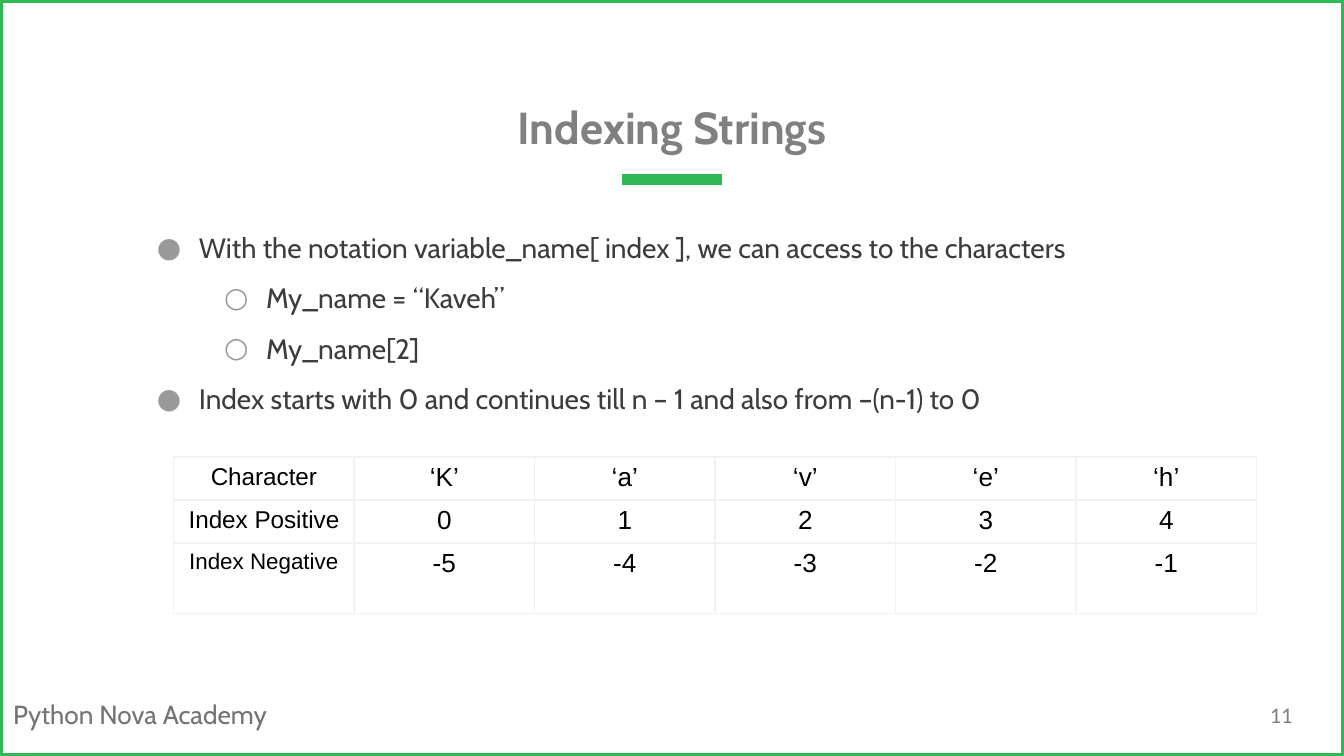
from lxml import etree
from pptx import Presentation
from pptx import util as u
from pptx.dml import color
from pptx.enum import shapes, text
from pptx.oxml import ns

Pt = u.Pt
COLORS = {"green": "30B854", "title": "808080", "body": "3C3C3C", "footer": "737373",
          "bullet": "999999", "grid": "F2F2F2", "cell": "000000"}


def add_xml(parent, tag, **attributes):
    return etree.SubElement(parent, ns.qn(tag), attributes)


def write(para, words, ink, **formats):
    span = para.add_run()
    span.text = words
    span.font.color.rgb = color.RGBColor.from_string(COLORS[ink])
    for name, value in formats.items():
        setattr(span.font, name, value)


deck = Presentation()
deck.slide_width, deck.slide_height = Pt(720), Pt(405)
page = deck.slides.add_slide(deck.slide_layouts[5])
green = color.RGBColor.from_string(COLORS["green"])

# Page border
border = page.shapes.add_shape(shapes.MSO_SHAPE.RECTANGLE, 0, 0, deck.slide_width, deck.slide_height)
border.shadow.inherit = False
border.fill.background()
border.line.color.rgb = green
border.line.width = Pt(3)

# Title and its underline
title = page.shapes.title
title.left, title.top, title.width, title.height = Pt(0), Pt(17.3), Pt(720), Pt(72)
underline = page.shapes.add_connector(shapes.MSO_CONNECTOR.STRAIGHT, Pt(333.3), Pt(96.3), Pt(386.7), Pt(96.3))
underline.line.color.rgb = green
underline.line.width = Pt(6)
add_xml(underline._element.spPr, "a:effectLst")

# Text boxes
body = page.shapes.add_textbox(Pt(77), Pt(107.3), Pt(572.4), Pt(254.9))
footer = page.shapes.add_textbox(Pt(0), Pt(370.8), Pt(183.6), Pt(24.5))
number = page.shapes.add_textbox(Pt(673.2), Pt(367.2), Pt(43.2), Pt(31))
anchors = text.MSO_ANCHOR
for box, anchor, inset in [(title, anchors.BOTTOM, 7.2), (body, anchors.TOP, 7.2),
                           (footer, anchors.TOP, 3.6), (number, anchors.MIDDLE, 7.2)]:
    formats = {"word_wrap": True, "auto_size": text.MSO_AUTO_SIZE.NONE, "vertical_anchor": anchor,
               "margin_left": Pt(7.2), "margin_right": Pt(7.2),
               "margin_top": Pt(inset), "margin_bottom": Pt(inset)}
    for name, value in formats.items():
        setattr(box.text_frame, name, value)

heading = title.text_frame.paragraphs[0]
heading.alignment = text.PP_ALIGN.CENTER
write(heading, "Indexing Strings", "title", name="Cabin", size=Pt(24), bold=True)
write(footer.text_frame.paragraphs[0], "Python Nova Academy", "footer", name="Cabin", size=Pt(14))
write(number.text_frame.paragraphs[0], "11", "title", name="Calibri", size=Pt(12))

# Bulleted points
points = [
    (0, "With the notation variable_name[ index ], we can access to the characters"),
    (1, "My_name = “Kaveh”"),
    (1, "My_name[2]"),
    (0, "Index starts with 0 and continues till n – 1 and also from –(n-1) to 0"),
]
for position, (level, words) in enumerate(points):
    para = body.text_frame.add_paragraph() if position else body.text_frame.paragraphs[0]
    para.level = level
    para.line_spacing = 1.5
    properties = para._p.get_or_add_pPr()
    properties.set("marL", str(Pt(22.5 + 36 * level)))
    properties.set("indent", str(Pt(-22.5)))
    add_xml(add_xml(properties, "a:buClr"), "a:srgbClr", val=COLORS["bullet"])
    add_xml(properties, "a:buFont", typeface="Cabin")
    add_xml(properties, "a:buChar", char="●○"[level])
    write(para, words, "body", name="Cabin", size=Pt(15))

# Index table
letters = "Kaveh"
count = len(letters)
rows = [
    (23, 13, ["Character"] + [f"‘{letter}’" for letter in letters]),
    (23, 13, ["Index Positive"] + [str(index) for index in range(count)]),
    (38, 12, ["Index Negative"] + [str(index - count) for index in range(count)]),
]
frame = page.shapes.add_table(len(rows), count + 1, Pt(93), Pt(244.8), Pt(580.2), Pt(84))
table = frame.table
table.first_row = table.horz_banding = False
for column in table.columns:
    column.width = Pt(96.7)
for row, (height, label_size, values) in zip(table.rows, rows):
    row.height = Pt(height)
    for position, (cell, value) in enumerate(zip(row.cells, values)):
        cell.margin_left = cell.margin_right = Pt(3.6)
        cell.margin_top = cell.margin_bottom = Pt(3.4)
        for side in ("a:lnL", "a:lnR", "a:lnT", "a:lnB"):
            edge = add_xml(cell._tc.get_or_add_tcPr(), side, w=str(Pt(1)))
            add_xml(add_xml(edge, "a:solidFill"), "a:srgbClr", val=COLORS["grid"])
        cell.fill.background()
        para = cell.text_frame.paragraphs[0]
        para.alignment = text.PP_ALIGN.CENTER
        write(para, value, "cell", name="Arial", size=Pt(14 if position else label_size))

deck.save("out.pptx")
